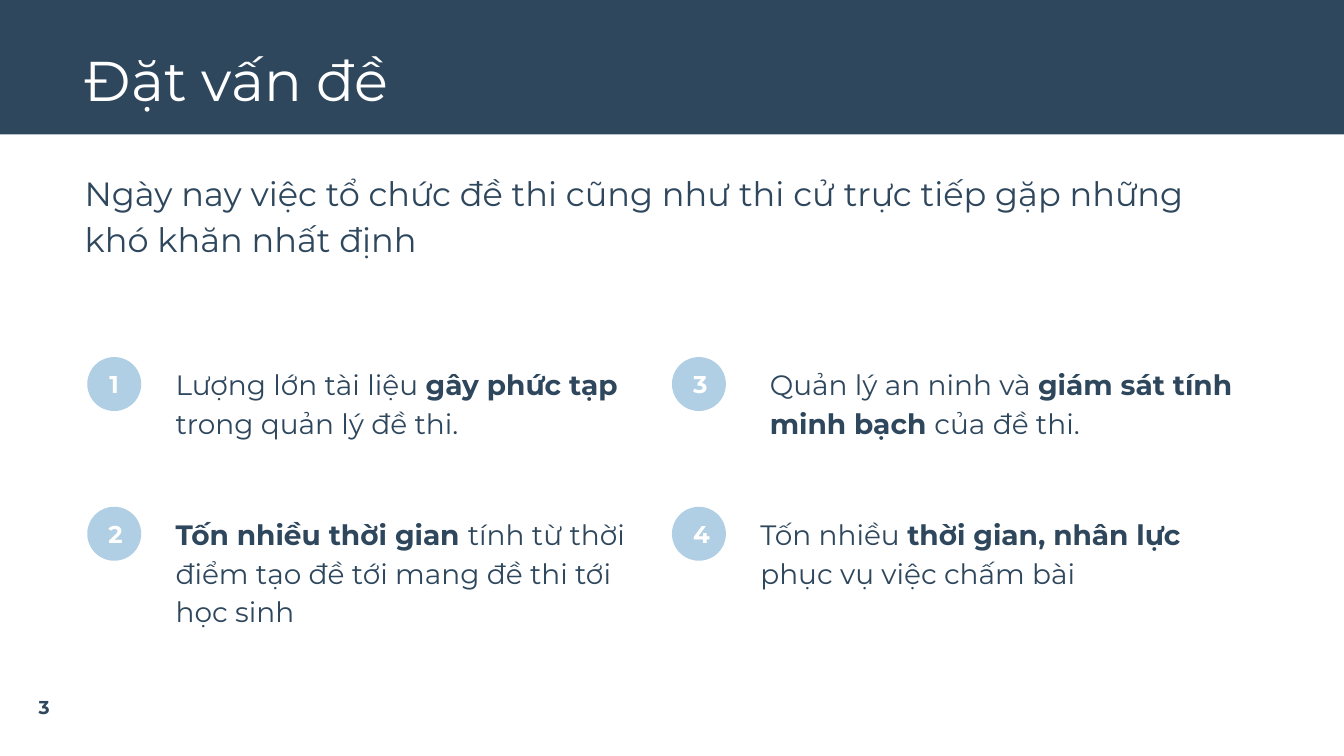
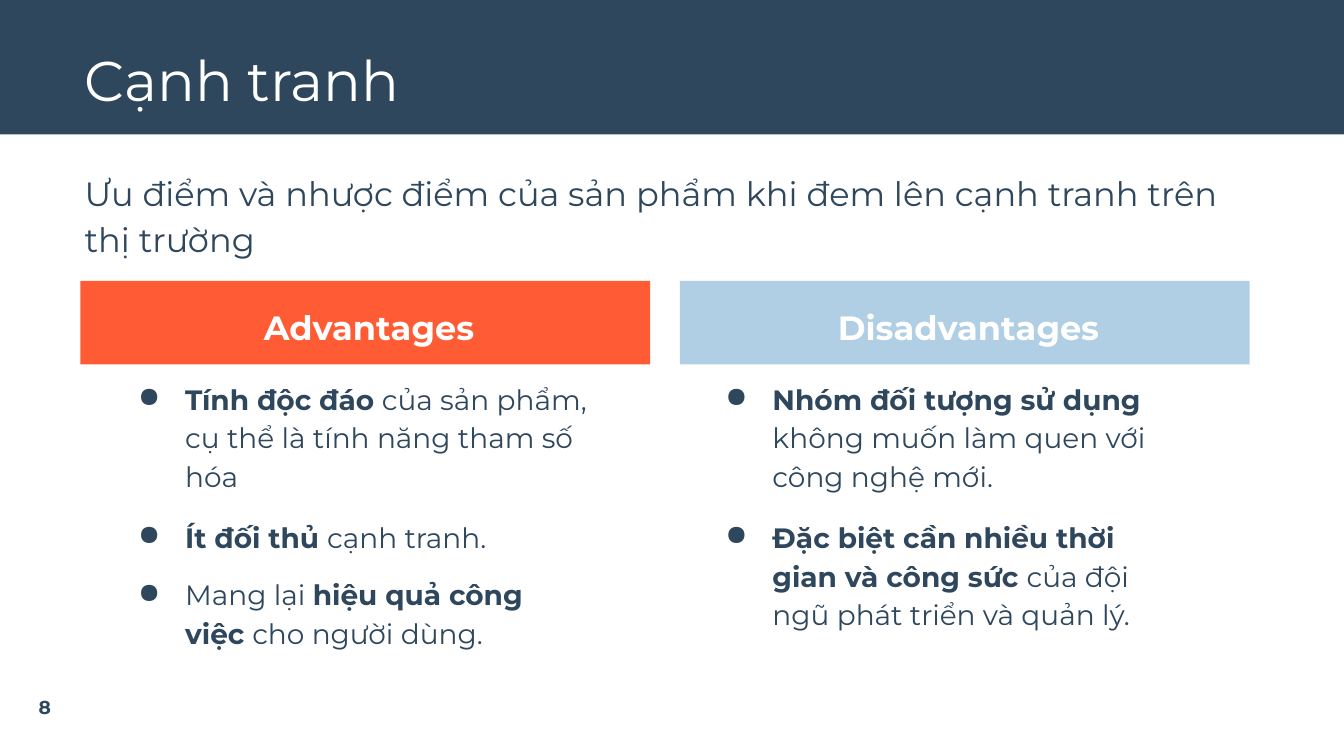
from lxml.etree import SubElement
from pptx import Presentation
from pptx.dml.color import RGBColor
from pptx.enum.shapes import MSO_SHAPE
from pptx.enum.text import MSO_ANCHOR, MSO_AUTO_SIZE, PP_ALIGN
from pptx.oxml.ns import qn
from pptx.util import Cm, Pt

NAVY, SKY, ORANGE, WHITE = "2E475D", "B0CFE5", "FF5C35", "FFFFFF"
FONT = "Montserrat"
BODY = {"line_spacing": 1.15}
LEAD = {"line_spacing": 1.15, "space_after": Pt(12)}
CENTRED = {"alignment": PP_ALIGN.CENTER}


def write(shape, paragraphs, size, color=NAVY, anchor=MSO_ANCHOR.TOP,
          formats=BODY, befores=(), bullet=None):
    """Fill a shape with paragraphs; text between ** marks is bold."""
    frame = shape.text_frame
    settings = {"word_wrap": True, "auto_size": MSO_AUTO_SIZE.NONE, "vertical_anchor": anchor}
    settings |= dict.fromkeys(
        ("margin_left", "margin_top", "margin_right", "margin_bottom"), Cm(0.25))
    for name, value in settings.items():
        setattr(frame, name, value)
    for i, text in enumerate(paragraphs):
        paragraph = frame.paragraphs[0] if i == 0 else frame.add_paragraph()
        spacing = {"space_before": Pt(befores[i])} if befores else {}
        for name, value in (formats | spacing).items():
            setattr(paragraph, name, value)
        for j, part in enumerate(text.split("**")):
            if part:
                run = paragraph.add_run()
                run.text = part
                look = {"name": FONT, "size": Pt(size), "bold": j % 2 == 1}
                for name, value in look.items():
                    setattr(run.font, name, value)
                run.font.color.rgb = RGBColor.from_string(color)
        if bullet:
            props = paragraph._p.get_or_add_pPr()
            props.set("marL", str(Cm(1.27)))
            props.set("indent", str(-Cm(0.89)))
            SubElement(SubElement(props, qn("a:buClr")), qn("a:srgbClr"), val=NAVY)
            SubElement(props, qn("a:buChar"), char=bullet)


def add_block(slide, kind, left, top, width, height, color):
    block = slide.shapes.add_shape(kind, Cm(left), Cm(top), Cm(width), Cm(height))
    block.shadow.inherit = False
    block.fill.solid()
    block.fill.fore_color.rgb = RGBColor.from_string(color)
    block.line.fill.background()
    return block


prs = Presentation()
prs.slide_width, prs.slide_height = Cm(25.4), Cm(14.29)

# Shared frame: band, title, lead sentence and page number
pages = [
    ("Đặt vấn đề", "3",
     "Ngày nay việc tổ chức đề thi cũng như thi cử trực tiếp gặp những khó khăn nhất định"),
    ("Cạnh tranh", "8",
     "Ưu điểm và nhược điểm của sản phẩm khi đem lên cạnh tranh trên thị trường"),
]
for heading, number, lead in pages:
    slide = prs.slides.add_slide(prs.slide_layouts[5])
    title = slide.shapes.title
    band = add_block(slide, MSO_SHAPE.RECTANGLE, 0, 0, 25.4, 2.54, NAVY)
    title.element.addprevious(band.element)
    place = {"left": Cm(1.35), "top": Cm(0.48), "width": Cm(22.38), "height": Cm(1.9)}
    for name, value in place.items():
        setattr(title, name, value)
    write(title, [heading], 30, WHITE, MSO_ANCHOR.BOTTOM, {"alignment": PP_ALIGN.LEFT})
    page_number = slide.shapes.add_textbox(Cm(0.48), Cm(12.9), Cm(5.7), Cm(1.02))
    write(page_number, [f"**{number}**"], 10, formats={})
    lead_box = slide.shapes.add_textbox(Cm(1.35), Cm(2.9), Cm(22.6), Cm(2.31))
    write(lead_box, [lead], 18, formats=LEAD)

problem_slide, rivalry_slide = prs.slides

# Four numbered problems, filled column by column
problems = [
    (3.07, 9.63, "Lượng lớn tài liệu **gây phức tạp **trong quản lý đề thi."),
    (3.07, 9.63, "**Tốn nhiều thời gian **tính từ thời điểm tạo đề tới mang đề thi tới học sinh"),
    (14.3, 9.25, "Quản lý an ninh và **giám sát tính minh bạch **của đề thi."),
    (14.12, 9.25, "Tốn nhiều **thời gian, nhân lực **phục vụ việc chấm bài"),
]
for i, (left, width, problem) in enumerate(problems):
    column, row = divmod(i, 2)
    top = 6.75 + row * 2.83
    badge = add_block(problem_slide, MSO_SHAPE.OVAL, 1.65 + column * 11.05, top, 1.02, 1.02, SKY)
    write(badge, [f"**{i + 1}**"], 13, WHITE, MSO_ANCHOR.MIDDLE, CENTRED)
    problem_box = problem_slide.shapes.add_textbox(Cm(left), Cm(top - 0.14), Cm(width), Cm(2.31))
    write(problem_box, [problem], 15)

# Advantages and disadvantages side by side
sides = [
    (1.52, 1.98, 6.02, ORANGE, "Advantages", [
        "**Tính độc đáo** của sản phẩm, cụ thể là tính năng tham số hóa",
        "**Ít đối thủ **cạnh tranh.",
        "Mang lại **hiệu quả công việc **cho người dùng."]),
    (12.85, 13.08, 5.08, SKY, "Disadvantages", [
        "**Nhóm đối tượng sử dụng **không muốn làm quen với công nghệ mới.",
        "**Đặc biệt cần nhiều thời gian và công sức **của đội ngũ phát triển và quản lý."]),
]
for left, list_left, list_height, color, label, points in sides:
    add_block(rivalry_slide, MSO_SHAPE.RECTANGLE, left, 5.31, 10.77, 1.58, color)
    label_box = rivalry_slide.shapes.add_textbox(Cm(left + 0.82), Cm(5.59), Cm(9.27), Cm(1.07))
    write(label_box, [f"**{label}**"], 18, WHITE, MSO_ANCHOR.MIDDLE, LEAD | CENTRED)
    point_list = rivalry_slide.shapes.add_textbox(
        Cm(list_left), Cm(6.88), Cm(9.4), Cm(list_height))
    write(point_list, points, 15, befores=(10, 12, 10), bullet="●")

prs.save("out.pptx")
